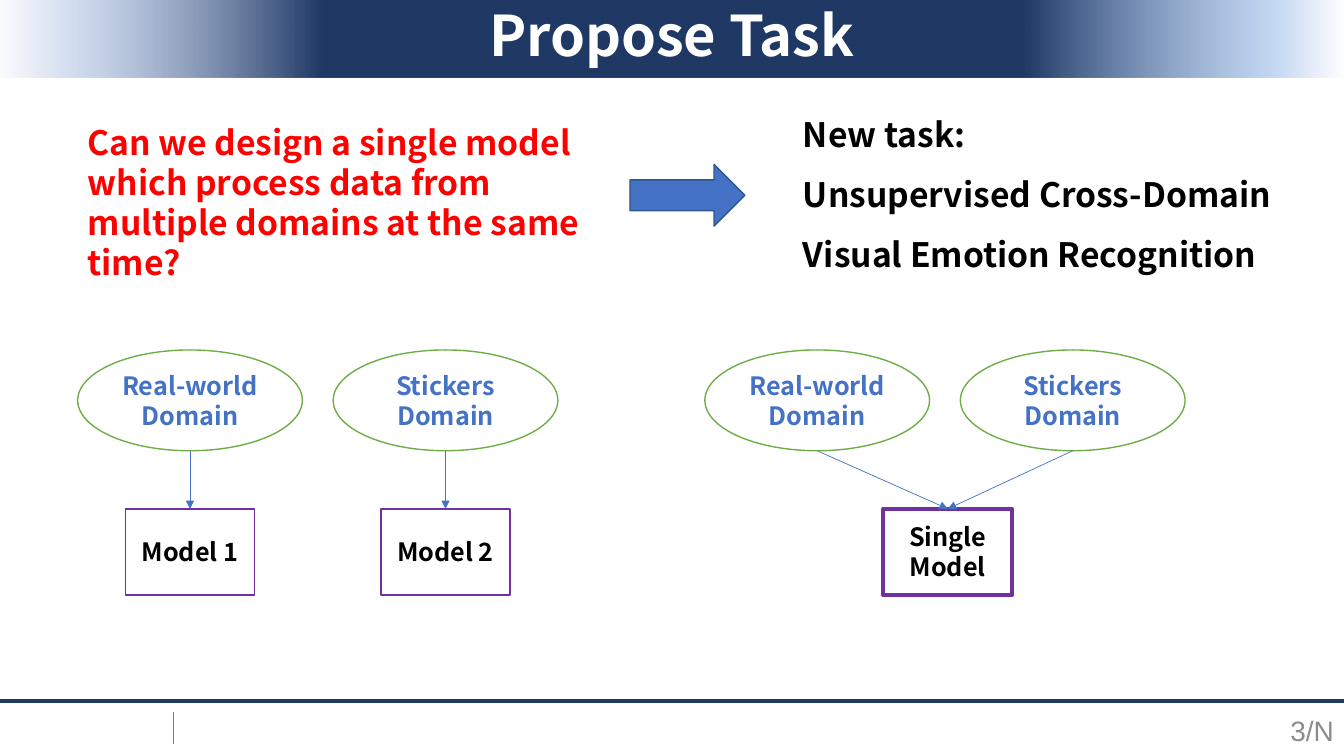
"""Build the Propose Task slide: separate models versus a single cross-domain model."""
from dataclasses import dataclass

from lxml.etree import SubElement
from pptx import Presentation
from pptx.dml.color import RGBColor
from pptx.enum.shapes import MSO_CONNECTOR, MSO_SHAPE as SHAPE
from pptx.enum.text import MSO_ANCHOR as ANCHOR, MSO_AUTO_SIZE, PP_ALIGN as ALIGN
from pptx.oxml.ns import qn
from pptx.util import Pt

NAVY = RGBColor(0x20, 0x38, 0x64)
BLUE = RGBColor(0x44, 0x72, 0xC4)
DARK_BLUE = RGBColor(0x32, 0x54, 0x91)
GREEN = RGBColor(0x70, 0xAD, 0x47)
PURPLE = RGBColor(0x70, 0x30, 0xA0)
RED = RGBColor(0xFF, 0x00, 0x00)
GREY = RGBColor(0x80, 0x80, 0x80)
LIGHT_GREY = RGBColor(0x8C, 0x8C, 0x8C)
BLACK = RGBColor(0, 0, 0)
WHITE = RGBColor(0xFF, 0xFF, 0xFF)
PALE = RGBColor(0xF6, 0xF8, 0xFC)
SOFT_BLUE = RGBColor(0xAB, 0xC0, 0xE4)
SKY = RGBColor(0x8D, 0xB3, 0xE7)

FONT = "Noto Sans CJK SC"
LINE_PITCH = 1.19
WIDTH, HEIGHT = 960, 540
BANNER_STOPS = [(0, PALE, 50), (5, SOFT_BLUE, 50), (24, NAVY, 100),
                (76, NAVY, 100), (95, SKY, 50), (100, WHITE, 50)]

DOMAIN_W, DOMAIN_H, DOMAIN_TOP, DOMAIN_STEP = 160.5, 72, 250, 182.5
MODEL_W, MODEL_H, MODEL_TOP = 92, 61.5, 363.5
DOMAINS = [["Real-world", "Domain"], ["Stickers", "Domain"]]


@dataclass
class Box:
    left: float
    top: float
    width: float
    height: float


@dataclass
class Style:
    size: float
    color: RGBColor
    bold: bool = True
    font: str = FONT
    align: ALIGN = ALIGN.CENTER
    pitch: float = LINE_PITCH


@dataclass
class Model:
    lines: list[str]
    center: float
    sources: list[float]
    border: float = 1


def place(sp, box: Box) -> None:
    sp.left, sp.top, sp.width, sp.height = map(
        Pt, (box.left, box.top, box.width, box.height))


def write(tf, lines: list[str], style: Style, anchor: ANCHOR = ANCHOR.MIDDLE) -> None:
    tf.word_wrap = True
    tf.auto_size = MSO_AUTO_SIZE.NONE
    tf.vertical_anchor = anchor
    for i, line in enumerate(lines):
        p = tf.paragraphs[0] if i == 0 else tf.add_paragraph()
        p.alignment = style.align
        p.line_spacing = Pt(round(style.size * style.pitch, 1))
        r = p.add_run()
        r.text = line
        r.font.name, r.font.size, r.font.bold = style.font, Pt(style.size), style.bold
        r.font.color.rgb = style.color


def add_text(slide, box: Box, lines: list[str], style: Style,
             anchor: ANCHOR = ANCHOR.TOP) -> None:
    sp = slide.shapes.add_textbox(0, 0, 0, 0)
    place(sp, box)
    write(sp.text_frame, lines, style, anchor)


def add_box(slide, kind: SHAPE, box: Box, fill: RGBColor, line: RGBColor, weight: float = 1):
    sp = slide.shapes.add_shape(kind, 0, 0, 0, 0)
    place(sp, box)
    sp.shadow.inherit = False
    sp.fill.solid()
    sp.fill.fore_color.rgb = fill
    sp.line.color.rgb = line
    sp.line.width = Pt(weight)
    return sp


def add_label(sp, lines: list[str], color: RGBColor) -> None:
    tf = sp.text_frame
    tf.margin_left = tf.margin_right = 0
    write(tf, lines, Style(18, color))


def add_line(slide, x1: float, y1: float, x2: float, y2: float, color: RGBColor,
             weight: float = 0.5, arrow: bool = False) -> None:
    cxn = slide.shapes.add_connector(
        MSO_CONNECTOR.STRAIGHT, Pt(x1), Pt(y1), Pt(x2), Pt(y2))
    cxn.line.color.rgb = color
    cxn.line.width = Pt(weight)
    if arrow:
        SubElement(cxn.line._get_or_add_ln(), qn("a:tailEnd"), type="triangle")
    SubElement(cxn._element.spPr, qn("a:effectLst"))


def add_banner(slide) -> None:
    sp = add_box(slide, SHAPE.RECTANGLE, Box(0, 0, WIDTH, 55.5), NAVY, NAVY)
    sp.line.fill.background()
    sp.fill.gradient()
    sp.fill.gradient_angle = 0
    stops = sp._element.spPr.find(qn("a:gradFill")).find(qn("a:gsLst"))
    for stop in list(stops):
        stops.remove(stop)
    for pos, color, opacity in BANNER_STOPS:
        gs = SubElement(stops, qn("a:gs"), pos=str(pos * 1000))
        clr = SubElement(gs, qn("a:srgbClr"), val=str(color))
        if opacity < 100:
            SubElement(clr, qn("a:alpha"), val=str(opacity * 1000))


def add_domains(slide, left: float) -> list[float]:
    centers = []
    for i, lines in enumerate(DOMAINS):
        x = left + i * DOMAIN_STEP
        sp = add_box(slide, SHAPE.OVAL, Box(x, DOMAIN_TOP, DOMAIN_W, DOMAIN_H), WHITE, GREEN)
        add_label(sp, lines, BLUE)
        centers.append(x + DOMAIN_W / 2)
    return centers


def add_model(slide, model: Model) -> None:
    box = Box(model.center - MODEL_W / 2, MODEL_TOP, MODEL_W, MODEL_H)
    sp = add_box(slide, SHAPE.RECTANGLE, box, WHITE, PURPLE, model.border)
    add_label(sp, model.lines, BLACK)
    for x in model.sources:
        add_line(slide, x, DOMAIN_TOP + DOMAIN_H, model.center, MODEL_TOP, BLUE, arrow=True)


def main() -> None:
    prs = Presentation()
    prs.slide_width, prs.slide_height = Pt(WIDTH), Pt(HEIGHT)
    slide = prs.slides.add_slide(prs.slide_layouts[5])

    add_line(slide, 124, 508.5, 124, 531.5, GREY)
    add_banner(slide)
    add_line(slide, 0, 500.5, WIDTH, 500.5, NAVY, 3)

    title = slide.shapes.title
    place(title, Box(216, 0, 528, 54.5))
    write(title.text_frame, ["Propose Task"], Style(40, WHITE))
    title.text_frame.paragraphs[0].line_spacing = 0.9
    slide.shapes._spTree.append(title._element)

    add_text(slide, Box(744, 507, 216, 29), ["3/N"],
             Style(20, LIGHT_GREY, False, "Arial", ALIGN.RIGHT), ANCHOR.MIDDLE)
    add_text(slide, Box(55.5, 83.5, 402.5, 94.5),
             ["Can we design a single model which process data from "
              "multiple domains at the same time?"],
             Style(24, RED, align=ALIGN.LEFT))
    add_text(slide, Box(566.5, 64, 355, 134),
             ["New task:", "Unsupervised Cross-Domain Visual Emotion Recognition"],
             Style(24, BLACK, align=ALIGN.LEFT, pitch=1.5 * LINE_PITCH))
    add_box(slide, SHAPE.RIGHT_ARROW, Box(450, 117.5, 82, 44), BLUE, DARK_BLUE)

    separate = add_domains(slide, 55.5)
    shared = add_domains(slide, 503.5)
    models = [Model([f"Model {i}"], x, [x]) for i, x in enumerate(separate, 1)]
    models.append(Model(["Single", "Model"], 677, shared, 3))
    for model in models:
        add_model(slide, model)

    prs.save("out.pptx")


if __name__ == "__main__":
    main()
